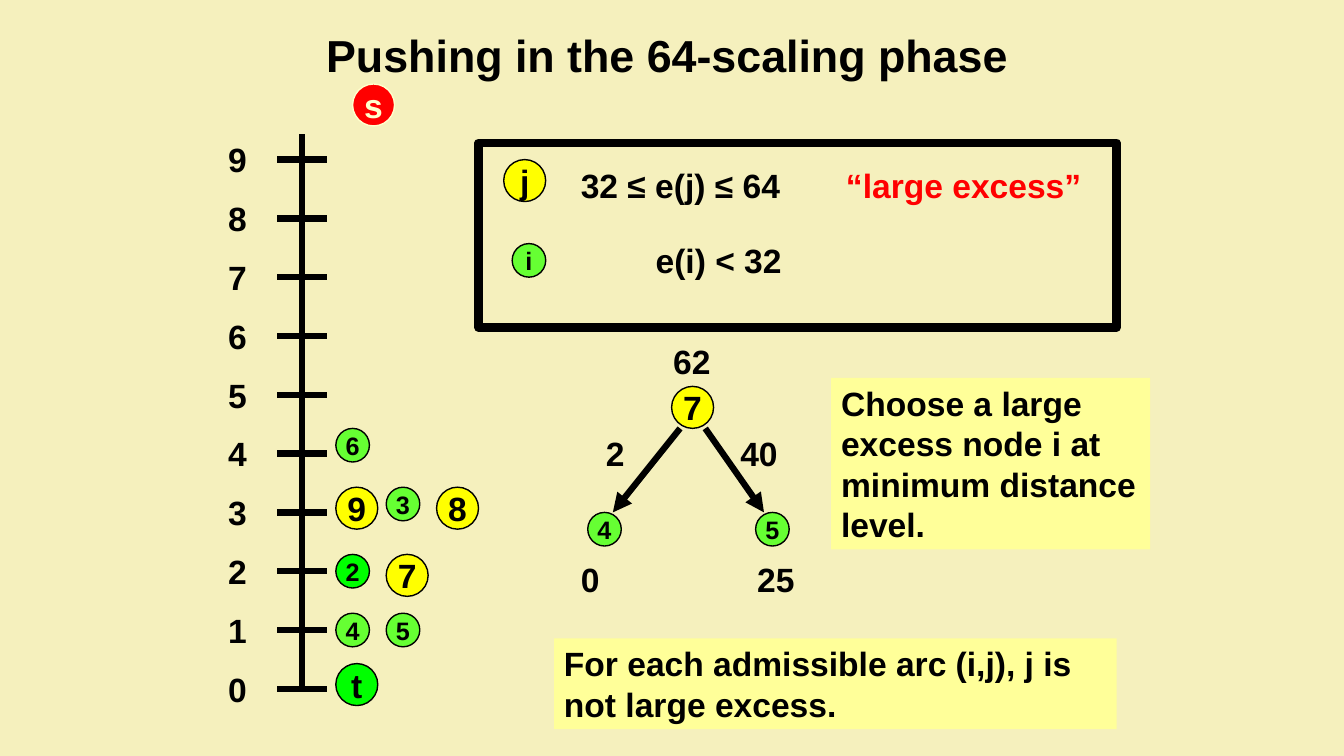
from pptx import Presentation
from pptx.dml.color import RGBColor
from pptx.enum import shapes, text
from pptx.oxml import parse_xml
from pptx.oxml.ns import nsdecls
from pptx.util import Pt

COLORS = {
    "background": "F5F0BD", "ink": "000000", "note": "FFFF99",
    "large": "FFFF00", "small": "66FF33", "sink": "00FF00",
    "source": "FF0000", "cream": "FFFFCC", "emphasis": "FF0000",
}


def rgb(name):
    return RGBColor.from_string(COLORS[name])


def write(frame, runs, size=24, align=text.PP_ALIGN.LEFT, tab=None):
    """Fill a frame with one paragraph of (wording, color) runs."""
    paragraph = frame.paragraphs[0]
    if tab:
        paragraph._p.get_or_add_pPr().append(parse_xml(
            f'<a:tabLst {nsdecls("a")}><a:tab pos="{Pt(tab)}" algn="l"/></a:tabLst>'))
    paragraph.alignment = align
    paragraph.line_spacing = Pt(1.2 * size)
    for wording, color in runs:
        run = paragraph.add_run()
        run.text = wording
        run.font.name, run.font.size, run.font.bold = "Arial", Pt(size), True
        run.font.color.rgb = rgb(color)


def add_label(slide, wording, left, top, width=54, height=36):
    label = slide.shapes.add_textbox(Pt(left), Pt(top), Pt(width), Pt(height))
    label.text_frame.word_wrap = True
    write(label.text_frame, [(wording, "ink")])


def add_node(slide, name, left, top, fill, large=False, ink="ink"):
    diameter, size = (30, 24) if large else (24, 18)
    node = slide.shapes.add_shape(shapes.MSO_SHAPE.OVAL, Pt(left), Pt(top),
                                  Pt(diameter), Pt(diameter))
    node.shadow.inherit = False
    node.fill.solid()
    node.fill.fore_color.rgb = rgb(fill)
    node.line.color.rgb = rgb(ink)
    node.line.width = Pt(1)
    node.text_frame.word_wrap = False
    node.text_frame.vertical_anchor = text.MSO_ANCHOR.MIDDLE
    write(node.text_frame, [(name, ink)], size, text.PP_ALIGN.CENTER)


def add_line(slide, x1, y1, x2, y2, arrow=False):
    line = slide.shapes.add_connector(shapes.MSO_CONNECTOR.STRAIGHT,
                                      Pt(x1), Pt(y1), Pt(x2), Pt(y2))
    line.line.color.rgb = rgb("ink")
    line.line.width = Pt(4.5)
    if arrow:
        line.line._get_or_add_ln().append(
            parse_xml(f'<a:tailEnd {nsdecls("a")} type="triangle"/>'))
    line._element.spPr.append(parse_xml(f'<a:effectLst {nsdecls("a")}/>'))


def add_title(slide, left, top, width, height):
    title = slide.shapes.add_textbox(Pt(left), Pt(top), Pt(width), Pt(height))
    frame = title.text_frame
    frame.word_wrap = True
    frame.margin_top = frame.margin_bottom = 0
    frame.vertical_anchor = text.MSO_ANCHOR.MIDDLE
    write(frame, [("Pushing in the 64-scaling phase", "ink")], 32, text.PP_ALIGN.CENTER)


def add_distance_scale(slide, left, top, height):
    step, axis, bottom = 42, left + 60, top + height
    add_line(slide, axis, top, axis, bottom)
    for level in range(10):
        tick = bottom - step * level
        add_line(slide, axis - 18, tick, axis + 18, tick)
        add_label(slide, str(level), left, tick - 18, 30)

    # Nodes: name, level, column, rise above the tick, fill, large
    nodes = [
        ("t", 0, 0, 18, "sink", True),
        ("4", 1, 0, 12, "small", False), ("5", 1, 1, 12, "small", False),
        ("2", 2, 0, 12, "sink", False), ("7", 2, 1, 12, "large", True),
        ("9", 3, 0, 18, "large", True), ("3", 3, 1, 18, "small", False),
        ("8", 3, 2, 18, "large", True), ("6", 4, 0, 18, "small", False),
    ]
    for name, level, column, rise, fill, large in nodes:
        add_node(slide, name, axis + 24 + 36 * column,
                 bottom - step * level - rise, fill, large)
    # Source node above the scale
    add_node(slide, "s", axis + 36, top - 36, "source", True, "cream")


def add_legend(slide, left, top, width, height):
    border = slide.shapes.add_shape(shapes.MSO_SHAPE.RECTANGLE, Pt(left), Pt(top),
                                    Pt(width), Pt(height))
    border.shadow.inherit = False
    border.fill.background()
    border.line.color.rgb = rgb("ink")
    border.line.width = Pt(6)

    add_node(slide, "j", left + 18, top + 12, "large", True)
    add_node(slide, "i", left + 24, top + 72, "small")
    rows = [
        (12, 378, 189.5, [("32 ≤ e(j) ≤ 64\t", "ink"), ("“large excess”", "emphasis")]),
        (66, 186, 53.5, [("\te(i) < 32", "ink")]),
    ]
    for offset, row_width, tab, runs in rows:
        condition = slide.shapes.add_textbox(Pt(left + 66), Pt(top + offset),
                                             Pt(row_width), Pt(36))
        condition.text_frame.word_wrap = True
        write(condition.text_frame, runs, tab=tab)


def add_push_tree(slide, left, top):
    # Nodes
    add_node(slide, "7", left + 72, top + 36, "large", True)
    add_node(slide, "4", left + 12, top + 126, "small")
    add_node(slide, "5", left + 132, top + 126, "small")
    # Arcs
    add_line(slide, left + 78, top + 66, left + 30, top + 126, arrow=True)
    add_line(slide, left + 96, top + 66, left + 138, top + 126, arrow=True)
    # Excesses and residual capacities
    for value, x, y in [("62", 66, 0), ("2", 18, 66), ("40", 114, 66),
                        ("0", 0, 156), ("25", 126, 156)]:
        add_label(slide, value, left + x, top + y)


def add_note(slide, wording, left, top, width, height):
    note = slide.shapes.add_shape(shapes.MSO_SHAPE.RECTANGLE, Pt(left), Pt(top),
                                  Pt(width), Pt(height))
    note.shadow.inherit = False
    note.fill.solid()
    note.fill.fore_color.rgb = rgb("note")
    note.line.fill.background()
    note.text_frame.word_wrap = True
    note.text_frame.vertical_anchor = text.MSO_ANCHOR.TOP
    write(note.text_frame, [(wording, "ink")])


def main():
    deck = Presentation()
    deck.slide_width, deck.slide_height = Pt(960.48), Pt(540)
    slide = deck.slides.add_slide(deck.slide_layouts[6])
    slide.background.fill.solid()
    slide.background.fill.fore_color.rgb = rgb("background")

    add_title(slide, 132, 24, 690, 30)
    add_distance_scale(slide, 156, 96, 396)
    add_legend(slide, 342, 102, 456, 132)
    add_push_tree(slide, 408, 240)
    add_note(slide, "For each admissible arc (i,j), j is not large excess.",
             396, 456, 402, 64.8)
    add_note(slide, "Choose a large excess node i at minimum distance level.",
             594, 270, 228, 122.4)
    deck.save("out.pptx")


if __name__ == "__main__":
    main()
